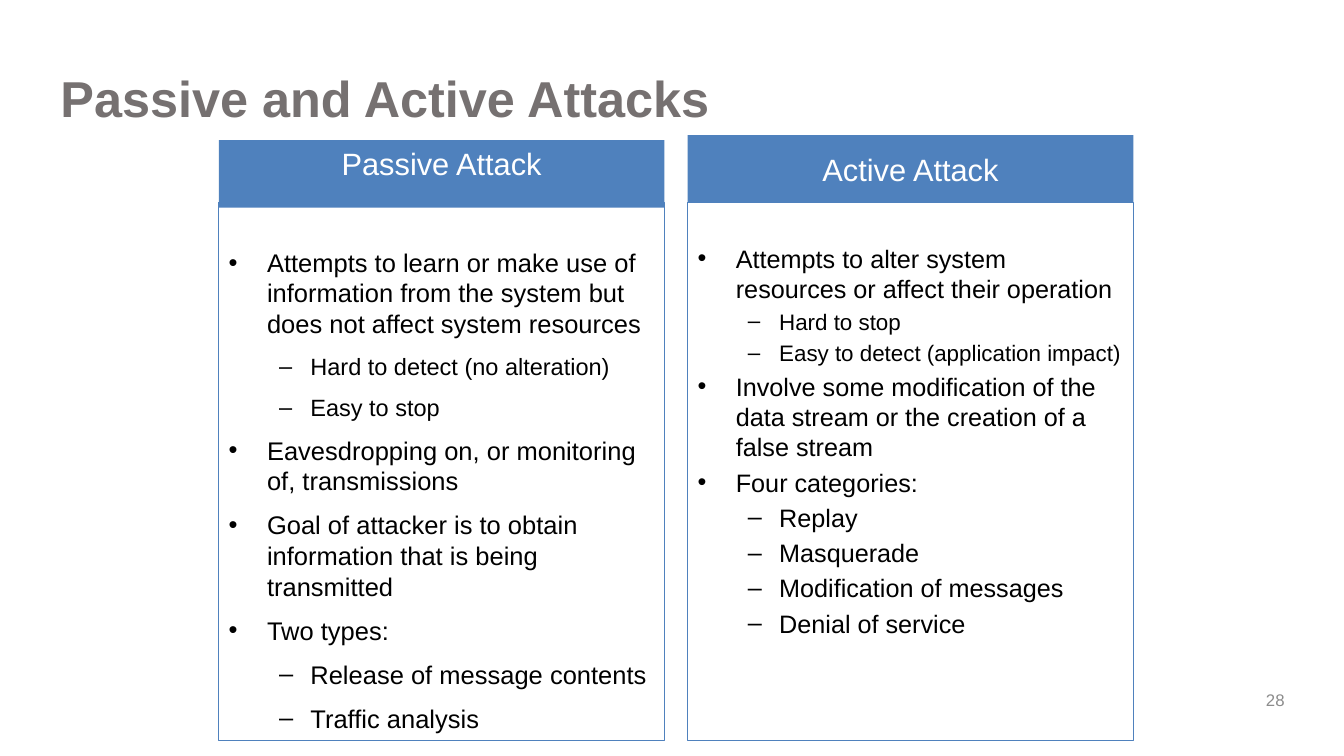
import pptx
import pptx.util
import pptx.dml.color
import pptx.enum.shapes
import pptx.enum.text
import pptx.oxml.ns
import lxml.etree

SLIDE_WIDTH, SLIDE_HEIGHT = 13.33, 7.5
FONT, BLUE, WHITE, BLACK, GREY, PALE_GREY = (
    "Arial", "4F81BD", "FFFFFF", "000000", "767171", "8C8C8C")
TITLE = "Passive and Active Attacks"
SLIDE_NUMBER = "28"
ANCHOR = pptx.enum.text.MSO_ANCHOR
ALIGN = pptx.enum.text.PP_ALIGN

# Each point: level, text size, text
COLUMNS = [
    dict(heading="Passive Attack", top=1.39, anchor=ANCHOR.TOP,
         inset=0.44, space_after=6, points=[
             (0, 18.2, "Attempts to learn or make use of information from the system "
                       "but does not affect system resources"),
             (1, 16.8, "Hard to detect (no alteration)"),
             (1, 16.8, "Easy to stop"),
             (0, 18.2, "Eavesdropping on, or monitoring of, transmissions"),
             (0, 18.2, "Goal of attacker is to obtain information that is being transmitted"),
             (0, 18.2, "Two types:"),
             (1, 18.2, "Release of message contents"),
             (1, 18.2, "Traffic analysis")]),
    dict(heading="Active Attack", top=1.34, anchor=ANCHOR.MIDDLE,
         inset=0.4, space_after=0, points=[
             (0, 18, "Attempts to alter system resources or affect their operation"),
             (1, 16, "Hard to stop"),
             (1, 16, "Easy to detect (application impact)"),
             (0, 18, "Involve some modification of the data stream or the creation "
                     "of a false stream"),
             (0, 18, "Four categories:"),
             (1, 18, "Replay"),
             (1, 18, "Masquerade"),
             (1, 18, "Modification of messages"),
             (1, 18, "Denial of service")]),
]
COLUMN_LEFT, COLUMN_WIDTH, COLUMN_PITCH = 2.17, 4.42, 4.65
HEADING_HEIGHT, BODY_TOP, BODY_HEIGHT = 0.67, 2.01, 5.34
BULLETS = [("•", 0.38, 0.38), ("–", 0.81, 0.31)]  # mark, margin, hanging indent
SPACE_BEFORE = 0.2  # share of the text size


def inches(*lengths):
    return [pptx.util.Inches(length) for length in lengths]


def color(value):
    return pptx.dml.color.RGBColor.from_string(value)


def style(paragraph, size, text_color, alignment=ALIGN.LEFT, bold=False):
    paragraph.alignment = alignment
    for run in paragraph.runs:
        run.font.name = FONT
        run.font.size = pptx.util.Pt(size)
        run.font.bold = bold
        run.font.color.rgb = color(text_color)


def add_box(slide, place, fill=None, line=None):
    shape = slide.shapes.add_shape(
        pptx.enum.shapes.MSO_SHAPE.RECTANGLE, *inches(*place))
    shape.shadow.inherit = False
    if fill:
        shape.fill.solid()
        shape.fill.fore_color.rgb = color(fill)
    else:
        shape.fill.background()
    if line:
        shape.line.color.rgb = color(line)
        shape.line.width = pptx.util.Pt(0.75)
    else:
        shape.line.fill.background()
    shape.text_frame.word_wrap = True
    return shape


def set_bullet(paragraph, level):
    mark, margin, hanging = BULLETS[level]
    paragraph.level = level
    properties = paragraph._p.get_or_add_pPr()
    properties.set("marL", str(pptx.util.Inches(margin)))
    properties.set("indent", str(-pptx.util.Inches(hanging)))
    for tag, name, value in (("a:buFont", "typeface", FONT), ("a:buChar", "char", mark)):
        lxml.etree.SubElement(properties, pptx.oxml.ns.qn(tag)).set(name, value)


def add_column(slide, left, column):
    heading = add_box(slide, (left, column["top"], COLUMN_WIDTH, HEADING_HEIGHT), fill=BLUE)
    heading.text_frame.text = column["heading"]
    heading.text_frame.vertical_anchor = column["anchor"]
    style(heading.text_frame.paragraphs[0], 22, WHITE, ALIGN.CENTER)

    body = add_box(slide, (left, BODY_TOP, COLUMN_WIDTH, BODY_HEIGHT), line=BLUE)
    frame = body.text_frame
    frame.vertical_anchor = ANCHOR.TOP
    frame.margin_top = pptx.util.Inches(column["inset"])
    frame.text = "\n".join(text for _, _, text in column["points"])
    for index, (level, size, _) in enumerate(column["points"]):
        paragraph = frame.paragraphs[index]
        set_bullet(paragraph, level)
        paragraph.space_before = pptx.util.Pt(size * SPACE_BEFORE if index else 0)
        paragraph.space_after = pptx.util.Pt(column["space_after"])
        style(paragraph, size, BLACK)


def main():
    presentation = pptx.Presentation()
    presentation.slide_width, presentation.slide_height = inches(SLIDE_WIDTH, SLIDE_HEIGHT)
    slide = presentation.slides.add_slide(presentation.slide_layouts.get_by_name("Title Only"))

    title = slide.shapes.title
    title.left, title.top, title.width, title.height = inches(0.5, 0.62, 12.33, 0.81)
    title.text_frame.text = TITLE
    title.text_frame.vertical_anchor = ANCHOR.TOP
    style(title.text_frame.paragraphs[0], 36, GREY, bold=True)

    for index, column in enumerate(COLUMNS):
        add_column(slide, COLUMN_LEFT + index * COLUMN_PITCH, column)

    number = slide.shapes.add_textbox(*inches(9.9, 6.79, 2.94, 0.3))
    number.text_frame.word_wrap = True
    number.text_frame.text = SLIDE_NUMBER
    number.text_frame.vertical_anchor = ANCHOR.MIDDLE
    style(number.text_frame.paragraphs[0], 12, PALE_GREY, ALIGN.RIGHT)

    presentation.save("out.pptx")


if __name__ == "__main__":
    main()
